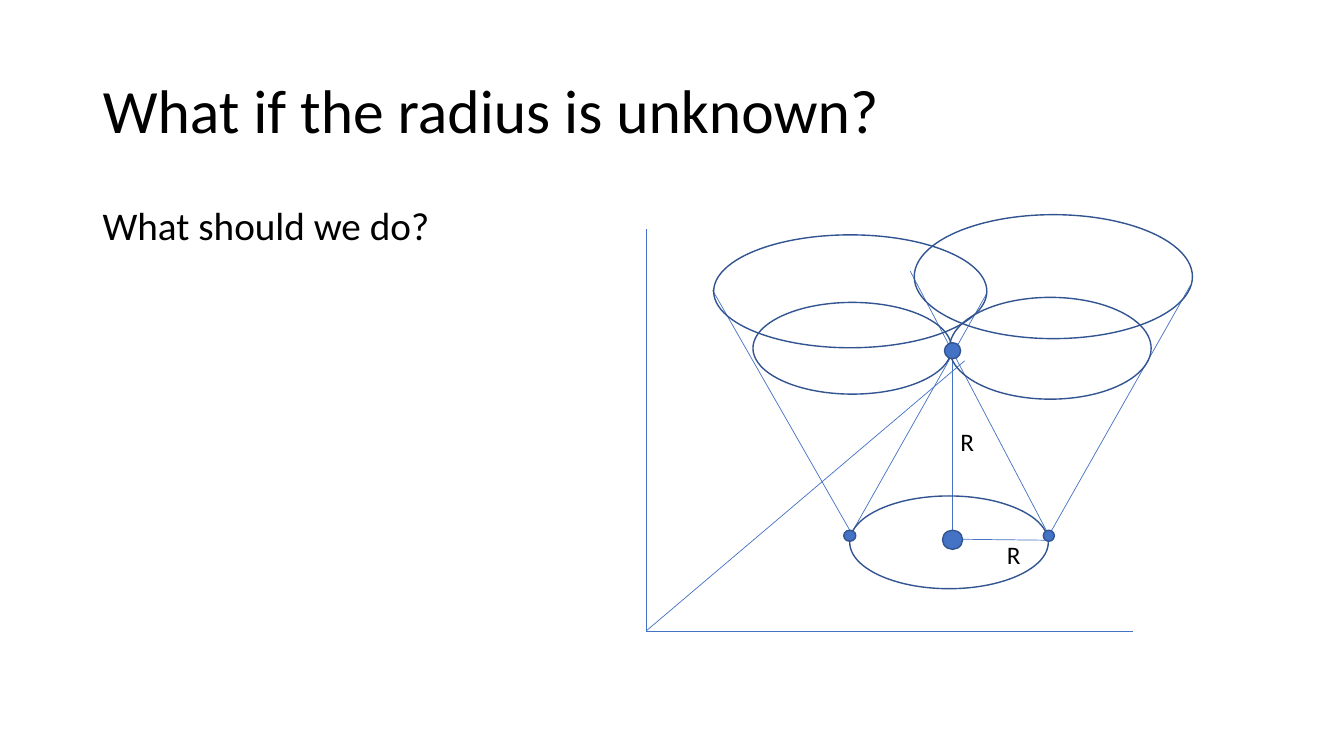
from lxml import etree
from pptx import Presentation
from pptx.dml.color import RGBColor
from pptx.enum.shapes import MSO_CONNECTOR, MSO_SHAPE
from pptx.enum.text import MSO_ANCHOR, MSO_AUTO_SIZE, PP_ALIGN
from pptx.oxml.ns import qn
from pptx.util import Inches, Pt

STRAIGHT = MSO_CONNECTOR.STRAIGHT
ELLIPSE = MSO_SHAPE.OVAL
LEFT = PP_ALIGN.LEFT
MIDDLE = MSO_ANCHOR.MIDDLE
NO_FIT = MSO_AUTO_SIZE.NONE

FONT = "Calibri"
TITLE_ONLY = 5
BLACK, BLUE, DARK_BLUE = "000000", "4472C4", "325491"

ORIGIN = (6.41, 6.26)
AXIS_ENDS = [(6.41, 2.27), (9.57, 3.58), (11.24, 6.26)]
CONE_SIDES = [
    ((8.43, 5.26), (7.07, 2.88)),
    ((8.43, 5.32), (9.79, 2.91)),
    ((9.03, 2.69), (10.4, 5.3)),
    ((10.4, 5.32), (11.81, 2.83)),
]
RADII = [((9.45, 5.37), (9.45, 3.4)), ((9.55, 5.35), (10.44, 5.36))]
CIRCLES = [
    (8.43, 4.92, 1.97, 0.92),
    (7.08, 2.33, 2.71, 1.12),
    (7.47, 3, 1.97, 0.91),
    (9.42, 2.95, 2, 1.01),
    (9.07, 2.13, 2.76, 1.23),
]
POINTS = [
    (8.37, 5.26, 0.12, 0.11),
    (10.35, 5.26, 0.11, 0.11),
    (9.37, 3.4, 0.16, 0.16),
    (9.35, 5.26, 0.2, 0.19),
]
RADIUS_LABELS = [(9.43, 4.18, 0.34, 0.4), (9.89, 5.3, 0.34, 0.4)]


def color(value):
    """Turn a hex string into a colour."""
    return RGBColor.from_string(value)


def inches(values):
    """Turn a sequence of numbers into lengths."""
    return [Inches(value) for value in values]


def write(box, text, size):
    """Put one left-aligned paragraph into a box and return it."""
    box.text_frame.text = text
    para = box.text_frame.paragraphs[0]
    para.alignment = LEFT
    para.font.name = FONT
    para.font.size = Pt(size)
    para.font.color.rgb = color(BLACK)
    return para


def set_title(page, text):
    """Place and format the title placeholder."""
    title = page.shapes.title
    title.left, title.top, title.width, title.height = inches((0.92, 0.4, 11.5, 1.45))
    write(title, text, 44).line_spacing = 0.9
    title.text_frame.auto_size = NO_FIT
    title.text_frame.vertical_anchor = MIDDLE


def add_bullet(page, text):
    """Add the body text with a hanging bullet."""
    box = page.shapes.add_textbox(*inches((0.92, 2, 11.5, 4.76)))
    box.text_frame.word_wrap = True
    para = box.text_frame.paragraphs[0]
    properties = para._p.get_or_add_pPr()
    properties.set("marL", str(Inches(0.25)))
    properties.set("indent", str(-Inches(0.25)))
    etree.SubElement(properties, qn("a:buFont")).set("typeface", "Arial")
    etree.SubElement(properties, qn("a:buChar")).set("char", "•")
    write(box, text, 28).line_spacing = 0.9


def add_line(page, start, end):
    """Add a thin straight line."""
    line = page.shapes.add_connector(STRAIGHT, *inches(start + end))
    line.line.color.rgb = color(BLUE)
    line.line.width = Pt(0.5)
    etree.SubElement(line._element.spPr, qn("a:effectLst"))


def add_ellipse(page, place, fill=None):
    """Add an outlined ellipse, filled if a colour is given."""
    ellipse = page.shapes.add_shape(ELLIPSE, *inches(place))
    ellipse.shadow.inherit = False
    ellipse.line.color.rgb = color(DARK_BLUE)
    ellipse.line.width = Pt(1)
    if fill:
        ellipse.fill.solid()
        ellipse.fill.fore_color.rgb = color(fill)
    else:
        ellipse.fill.background()


def add_label(page, place, text):
    """Add a short label that does not wrap."""
    box = page.shapes.add_textbox(*inches(place))
    box.text_frame.word_wrap = False
    write(box, text, 18)


def main():
    """Build the slide and save it."""
    deck = Presentation()
    deck.slide_width, deck.slide_height = Inches(13.333), Inches(7.5)
    page = deck.slides.add_slide(deck.slide_layouts[TITLE_ONLY])
    set_title(page, "What if the radius is unknown?")
    add_bullet(page, "What should we do?")
    for end in AXIS_ENDS:
        add_line(page, ORIGIN, end)
    for start, end in CONE_SIDES + RADII:
        add_line(page, start, end)
    for place in CIRCLES:
        add_ellipse(page, place)
    for place in POINTS:
        add_ellipse(page, place, BLUE)
    for place in RADIUS_LABELS:
        add_label(page, place, "R")
    deck.save("out.pptx")


if __name__ == "__main__":
    main()
